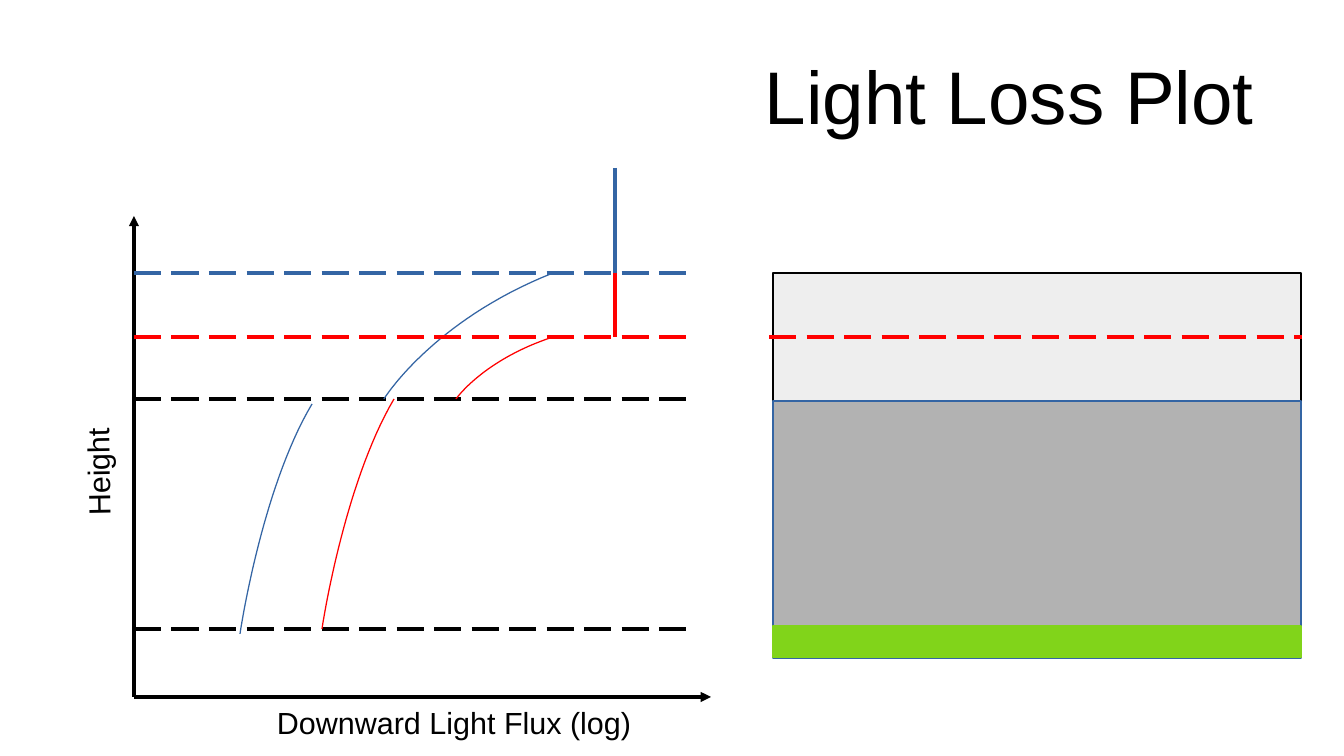
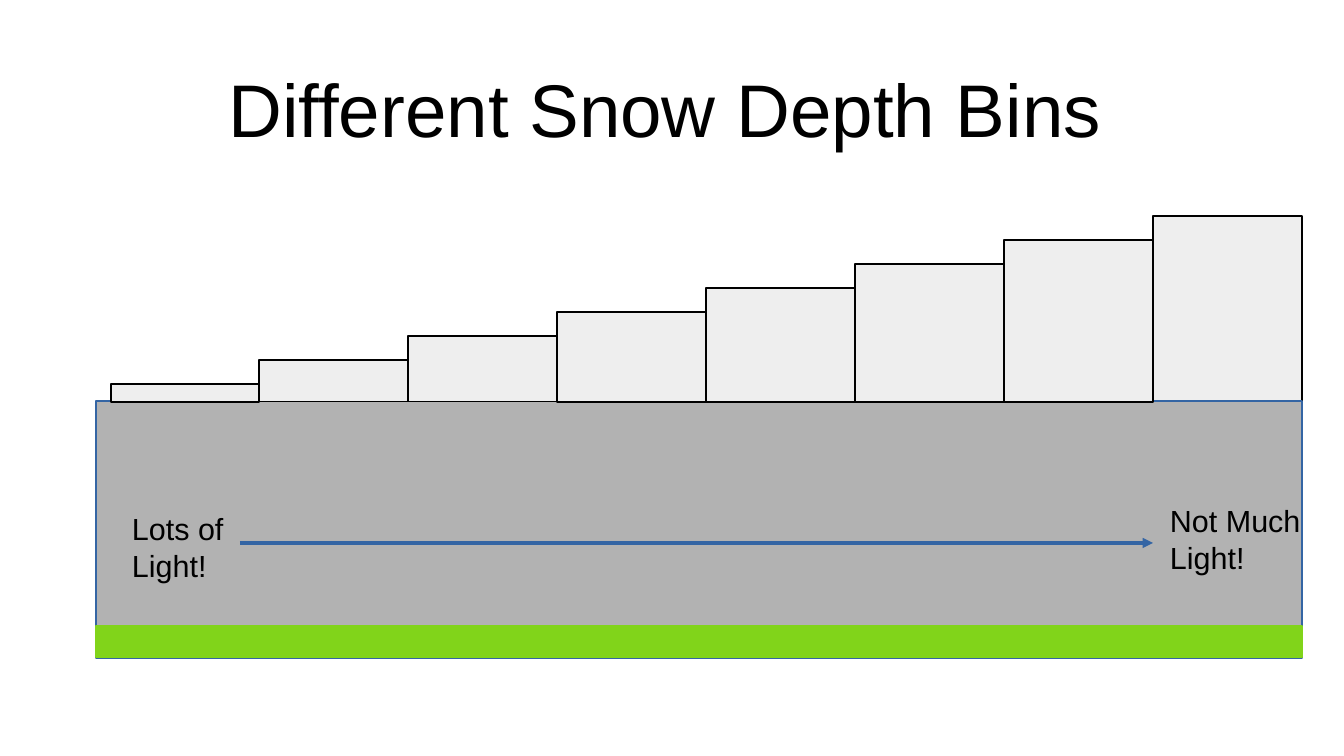
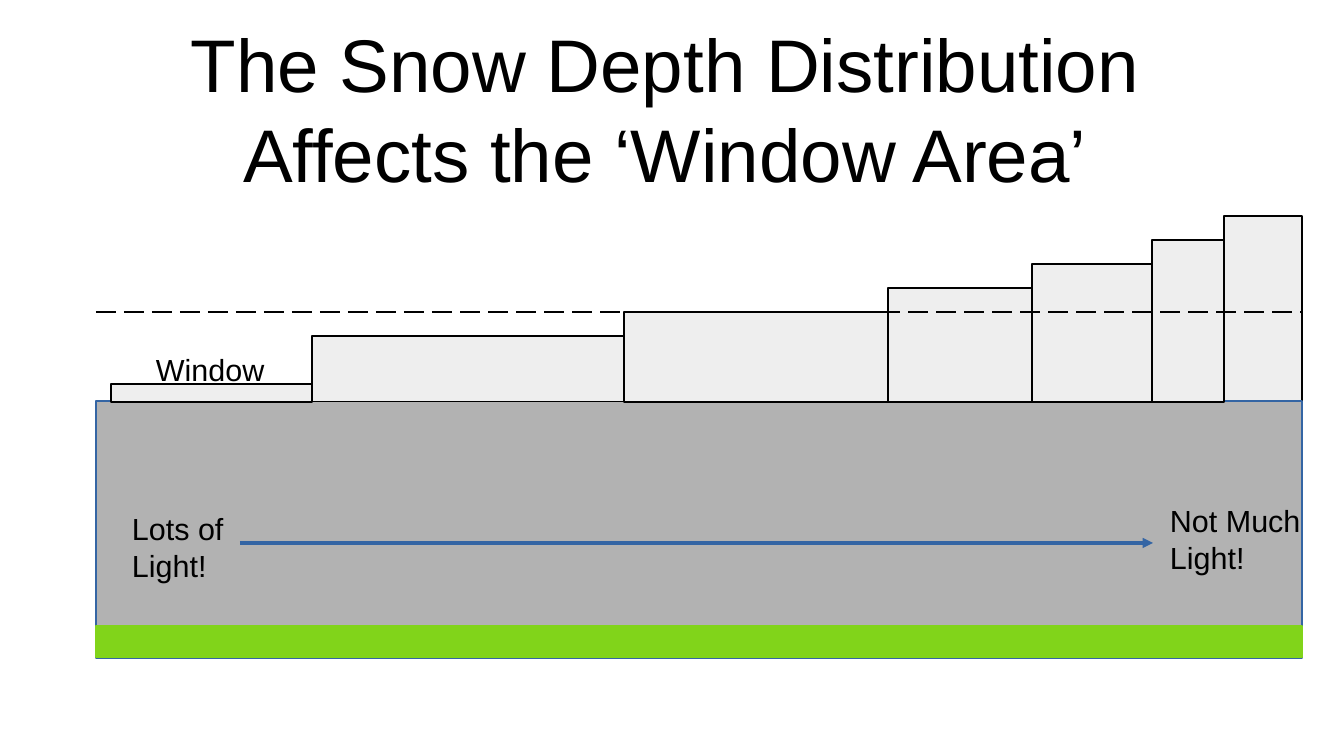
from lxml.etree import SubElement
from pptx import Presentation
from pptx.dml.color import RGBColor
from pptx.enum.dml import MSO_LINE
from pptx.enum.shapes import MSO_CONNECTOR, MSO_SHAPE
from pptx.enum.text import MSO_ANCHOR, MSO_AUTO_SIZE, PP_ALIGN
from pptx.oxml.ns import qn
from pptx.util import Pt

EMU_PER_PX = 7495
FONT = "Arial"
COLORS = {
    "ink": "000000",
    "blue": "3465A4",
    "red": "FF0000",
    "snow": "EEEEEE",
    "ice": "B2B2B2",
    "green": "81D41A",
}


def px(*values):
    """Turn pixel lengths into EMU."""
    return [round(v * EMU_PER_PX) for v in values]


def rgb(name):
    """Look up a colour by name."""
    return RGBColor.from_string(COLORS[name])


class Deck:
    """Shared style and the slide being drawn."""

    def __init__(self):
        """Start an empty presentation."""
        self.prs = Presentation()
        self.prs.slide_width, self.prs.slide_height = px(1344, 756)
        self.s = None

    def slide(self, title, box=(77, 24, 1177, 167)):
        """Add a slide with a centred title."""
        self.s = self.prs.slides.add_slide(self.prs.slide_layouts[5])
        sp = self.s.shapes.title
        sp.left, sp.top, sp.width, sp.height = px(*box)
        tf = sp.text_frame
        tf.margin_left = tf.margin_right = tf.margin_top = tf.margin_bottom = 0
        tf.vertical_anchor = MSO_ANCHOR.MIDDLE
        self.add_text(tf, title, 44, PP_ALIGN.CENTER)

    def add_text(self, tf, text, size, align):
        """Put one styled run into a text frame."""
        tf.word_wrap = True
        tf.auto_size = MSO_AUTO_SIZE.NONE
        p = tf.paragraphs[0]
        p.alignment = align
        r = p.add_run()
        r.text = text
        r.font.name, r.font.size = FONT, Pt(size)
        r.font.color.rgb = rgb("ink")

    def label(self, text, box, rotation=0):
        """Add a text box."""
        sp = self.s.shapes.add_textbox(*px(*box))
        sp.rotation = rotation
        self.add_text(sp.text_frame, text, 18, PP_ALIGN.LEFT)

    def stroke(self, line, color, width=0):
        """Style an outline."""
        line.color.rgb = rgb(color)
        line.width = Pt(width)

    def rect(self, box, fill, outline):
        """Add a filled rectangle."""
        sp = self.s.shapes.add_shape(MSO_SHAPE.RECTANGLE, *px(*box))
        sp.shadow.inherit = False
        sp.fill.solid()
        sp.fill.fore_color.rgb = rgb(fill)
        self.stroke(sp.line, outline)

    def line(self, ends, color="ink", width=0, dashed=False, arrow=False):
        """Add a straight line, dashed or with an arrowhead at its end."""
        c = self.s.shapes.add_connector(MSO_CONNECTOR.STRAIGHT, *px(*ends))
        self.stroke(c.line, color, width)
        if dashed:
            c.line.dash_style = MSO_LINE.LONG_DASH
        sp_pr = c._element.spPr
        if arrow:
            SubElement(sp_pr.find(qn("a:ln")), qn("a:tailEnd"), type="triangle")
        SubElement(sp_pr, qn("a:effectLst"))

    def curve(self, start, bend, end, color, steps=32):
        """Add a cubic curve whose second control point is its end."""
        points = []
        for i in range(steps + 1):
            t = i / steps
            a, b = (1 - t) ** 3, 3 * t * (1 - t) ** 2
            points.append(px(*(a * u + b * v + (1 - a - b) * w
                               for u, v, w in zip(start, bend, end))))
        fb = self.s.shapes.build_freeform(*points[0])
        fb.add_line_segments(points[1:], close=False)
        sp = fb.convert_to_shape()
        sp.shadow.inherit = False
        sp.fill.background()
        self.stroke(sp.line, color)

    def ice(self, left, right=1302):
        """Add the ice block with the green layer at its base."""
        self.rect((left, 401, right - left, 257), "ice", "blue")
        self.rect((left, 626, right - left, 32), "green", "green")

    def snow_bins(self, edges, tops):
        """Add snow columns on the ice, the deepest one behind it."""
        bins = [((x, top, nxt - x, 402 - top), "snow", "ink")
                for x, nxt, top in zip(edges, edges[1:], tops)]
        self.rect(*bins[-1])
        self.ice(96)
        for snow_bin in reversed(bins[:-1]):
            self.rect(*snow_bin)

    def light_scale(self):
        """Add the arrow from much light to little light."""
        self.label("Lots of Light!", (120, 504, 144, 81))
        self.label("Not Much Light!", (1158, 496, 168, 115))
        self.line((240, 543, 1153, 543), "blue", arrow=True)


def light_loss(deck):
    """Draw the light loss plot beside the layers."""
    deck.slide("Light Loss Plot", (697, 31, 625, 127))
    deck.rect((773, 273, 528, 128), "snow", "ink")
    deck.ice(773, 1301)
    deck.line((134, 697, 134, 216), arrow=True)
    deck.line((134, 697, 711, 697), arrow=True)
    for y, color in ((273, "blue"), (399, "ink"), (629, "ink")):
        deck.line((134, y, 687, y), color, dashed=True)
    deck.label("Height", (16, 425, 160, 46), 269)
    deck.label("Downward Light Flux (log)", (265, 698, 432, 46))
    deck.curve((553, 273), (432, 321), (384, 399), "blue")
    deck.curve((312, 404), (261, 490), (240, 634), "blue")
    deck.curve((553, 337), (483, 360), (456, 399), "red")
    deck.curve((394, 399), (343, 486), (322, 629), "red")
    deck.line((134, 337, 687, 337), "red", dashed=True)
    deck.line((615, 273, 615, 337), "red")
    deck.line((769, 337, 1302, 337), "red", dashed=True)
    deck.line((615, 168, 615, 273), "blue")


def equal_bins(deck):
    """Draw eight equally wide snow depth bins."""
    deck.slide("Different Snow Depth Bins")
    deck.snow_bins([111 + 1191 * i // 8 for i in range(9)], range(384, 215, -24))
    deck.light_scale()


def window_area(deck):
    """Draw bins of uneven width with the window limit."""
    deck.slide("The Snow Depth Distribution Affects the ‘Window Area’")
    deck.snow_bins([111, 312, 624, 888, 1032, 1152, 1224, 1302],
                   [384, *range(336, 215, -24)])
    deck.light_scale()
    deck.label("Window", (144, 345, 144, 46))
    deck.line((96, 312, 1302, 312), width=1.5, dashed=True)


def main():
    """Build and save the deck."""
    deck = Deck()
    for build in (light_loss, equal_bins, window_area):
        build(deck)
    deck.prs.save("out.pptx")


if __name__ == "__main__":
    main()
